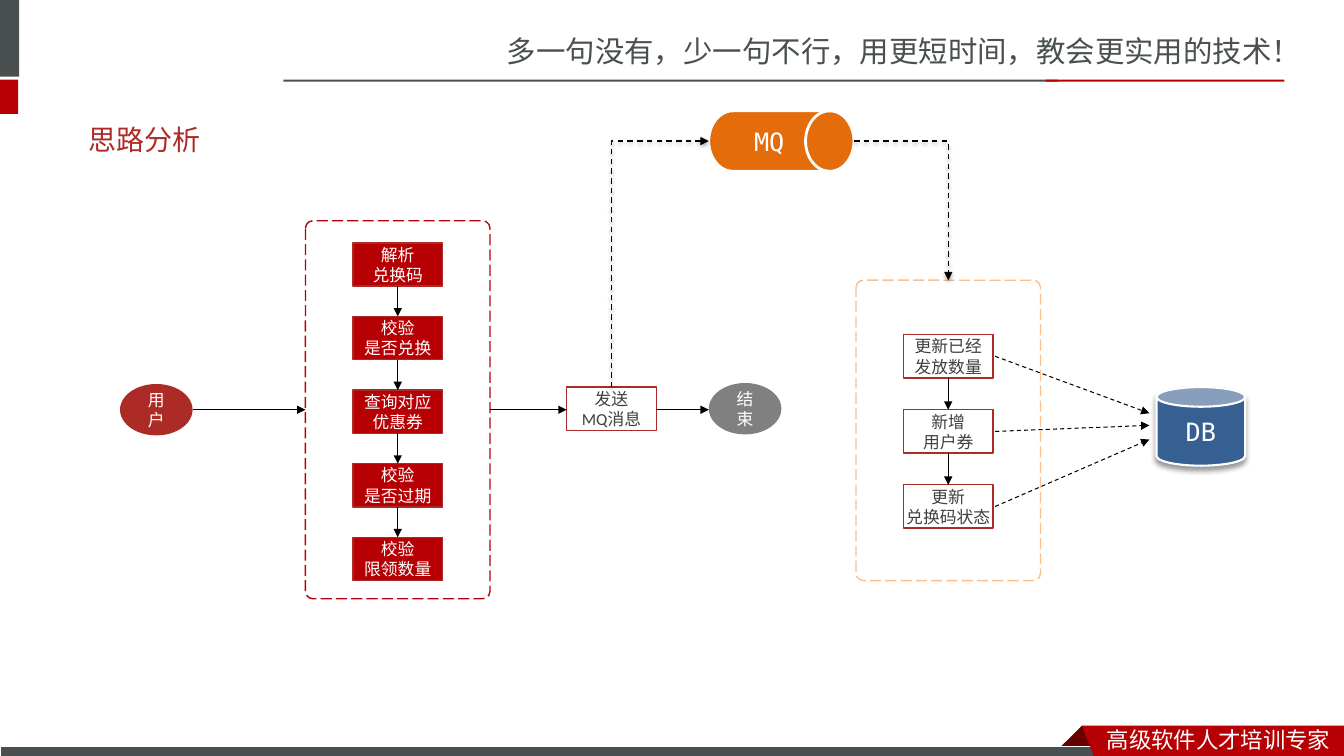
from dataclasses import dataclass

from lxml.etree import SubElement
from pptx import Presentation
from pptx.dml.color import RGBColor
from pptx.enum.dml import MSO_LINE
from pptx.enum.shapes import MSO_CONNECTOR, MSO_SHAPE
from pptx.enum.text import MSO_ANCHOR, PP_ALIGN
from pptx.oxml.ns import qn
from pptx.util import Inches, Pt

CELL = Inches(0.1)  # the slide is a grid of 133.3 columns by 75 rows
COLS, ROWS = 133.3, 75


@dataclass(frozen=True)
class Theme:
    red: str = "B60004"
    brick: str = "AD2B26"
    maroon: str = "680000"
    slate: str = "49504F"
    ink: str = "404040"
    gray: str = "808080"
    orange: str = "E46C0A"
    peach: str = "FAC090"
    blue: str = "376092"
    white: str = "FFFFFF"
    black: str = "000000"
    sans: str = "Calibri"
    mono: str = "DejaVu Sans Mono"
    head: str = "Lato"
    cjk: str = "Noto Sans CJK SC"
    tagline: int = 21
    title: int = 20
    node: int = 18
    footer: int = 16
    card: int = 12


T = Theme()


@dataclass(frozen=True)
class Box:
    x: float
    y: float
    w: float
    h: float

    @property
    def right(self):
        return self.x + self.w

    @property
    def bottom(self):
        return self.y + self.h

    @property
    def cx(self):
        return self.x + self.w / 2

    @property
    def cy(self):
        return self.y + self.h / 2

    def emu(self):
        return emu(self.x, self.y, self.w, self.h)


def emu(*cells):
    return [int(v * CELL) for v in cells]


def rgb(color):
    return RGBColor.from_string(color)


def set_text(tf, text, size, color, font, align=PP_ALIGN.CENTER):
    tf.word_wrap = True
    tf.text = text
    for p in tf.paragraphs:
        p.alignment = align
        p.font.size = Pt(size)
        p.font.color.rgb = rgb(color)
        p.font.name = font
        SubElement(p._p.pPr.find(qn("a:defRPr")), qn("a:ea"), typeface=T.cjk)


def add_label(s, box, text, size, color, font=T.cjk):
    tf = s.shapes.add_textbox(*box.emu()).text_frame
    set_text(tf, text, size, color, font, PP_ALIGN.LEFT)
    return tf


def paint(sp, fill=None, line=None, width=1):
    sp.shadow.inherit = False
    if fill:
        sp.fill.solid()
        sp.fill.fore_color.rgb = rgb(fill)
    else:
        sp.fill.background()
    if line:
        sp.line.color.rgb = rgb(line)
        sp.line.width = Pt(width)
    else:
        sp.line.fill.background()


def add_shape(s, kind, box, fill=None, line=None, width=1):
    sp = s.shapes.add_shape(kind, *box.emu())
    paint(sp, fill, line, width)
    return sp


def add_polygon(s, points, fill):
    first, *rest = [emu(*point) for point in points]
    builder = s.shapes.build_freeform(*first)
    builder.add_line_segments(rest, close=True)
    paint(builder.convert_to_shape(), fill)


def add_node(s, kind, box, text, fill, size, font, line=None, width=1):
    sp = add_shape(s, kind, box, fill, line, width)
    sp.text_frame.vertical_anchor = MSO_ANCHOR.MIDDLE
    set_text(sp.text_frame, text, size, T.white, font)
    return sp


def add_card(s, box, text, fill=None, font=T.sans):
    sp = add_shape(s, MSO_SHAPE.RECTANGLE, box, fill, T.brick)
    tf = sp.text_frame
    tf.margin_left = tf.margin_right = 0
    tf.vertical_anchor = MSO_ANCHOR.MIDDLE
    set_text(tf, text, T.card, T.white if fill else T.ink, font)


def add_shadow(effects, blur, dist, alpha):
    shadow = SubElement(effects, qn("a:outerShdw"), blurRad=str(Pt(blur)),
                        dist=str(Pt(dist)), dir="5400000", rotWithShape="0")
    color = SubElement(shadow, qn("a:srgbClr"), val=T.black)
    SubElement(color, qn("a:alpha"), val=str(alpha * 1000))


def add_arrow(s, start, end, dashed=False, elbow=False, head="tailEnd"):
    """An elbow runs across first, then down."""
    kind = MSO_CONNECTOR.ELBOW if elbow else MSO_CONNECTOR.STRAIGHT
    cn = s.shapes.add_connector(kind, *emu(*start, *end))
    cn.line.color.rgb = rgb(T.black)
    cn.line.width = Pt(1 if elbow else 0.75)
    if dashed:
        cn.line.dash_style = MSO_LINE.DASH
    sp_pr = cn._element.spPr
    SubElement(sp_pr.find(qn("a:ln")), qn("a:" + head), type="triangle")
    effects = SubElement(sp_pr, qn("a:effectLst"))
    if elbow:
        sp_pr.find(qn("a:prstGeom")).set("prst", "bentConnector2")
        add_shadow(effects, 3.1, 1.6, 38)


def header(s, box):
    add_label(s, Box(box.x + 49.3, box.y + 2.8, 84, 4.7),
              "多一句没有，少一句不行，用更短时间，教会更实用的技术！", T.tagline, T.slate)
    bars = [(0, 0, 1.9, 7.6, T.slate), (0, 7.9, 1.8, 3.4, T.red),
            (28.1, 7.9, 76.8, 0.2, T.slate), (103.7, 7.9, 23.7, 0.2, T.red)]
    for x, y, w, h, color in bars:
        add_shape(s, MSO_SHAPE.RECTANGLE, Box(box.x + x, box.y + y, w, h), color)
    tf = add_label(s, Box(box.x + 7.8, box.y + 11, 117, 5.7), "思路分析", T.title, T.brick, T.head)
    tf.vertical_anchor = MSO_ANCHOR.MIDDLE


def footer(s, box):
    fold = box.right - 26
    add_polygon(s, [(fold, box.y), (fold + 2.2, box.y + 2.2), (fold + 2.1, box.y + 2.3),
                    (fold - 2.1, box.y + 2.3), (fold - 2.2, box.y + 2.2)], T.maroon)
    add_shape(s, MSO_SHAPE.RECTANGLE, Box(box.x, box.y + 2.1, 109.9, 1.2), T.slate, T.white, 0.75)
    add_polygon(s, [(fold, box.y), (box.right, box.y), (box.right, box.bottom),
                    (fold + 1.3, box.bottom)], T.red)
    add_label(s, Box(fold + 1.5, box.y - 0.5, 24.5, 3.7), "高级软件人才培训专家",
              T.footer, T.white)


def step_panel(s, box, labels, top, pitch, border, fill=None):
    """Stack linked cards in a dashed frame and return the card boxes."""
    frame = add_shape(s, MSO_SHAPE.ROUNDED_RECTANGLE, box, None, border)
    frame.adjustments[0] = 0.04
    frame.line.dash_style = MSO_LINE.LONG_DASH
    cards = [Box(box.cx - 4.45, box.y + top + i * pitch, 8.9, 4.3) for i in range(len(labels))]
    for card, label in zip(cards, labels):
        add_card(s, card, label, fill, T.mono if card is cards[-1] else T.sans)
    for upper, lower in zip(cards, cards[1:]):
        add_arrow(s, (upper.cx, upper.bottom), (lower.cx, lower.y))
    return cards


def flow(s, box):
    def place(x, y, w, h):
        return Box(box.x + x, box.y + y, w, h)

    user, end = place(0, 27.1, 7.2, 5.1), place(58.4, 27, 7.2, 5.1)
    checks, updates = place(18.4, 10.9, 18.3, 37.5), place(73, 16.8, 18.3, 29.8)
    send, mq, db = place(44.3, 27.4, 8.9, 4.3), place(58.4, 0, 14.4, 6), place(102.8, 27.4, 8.8, 7.8)

    for oval, text, color in [(user, "用户", T.brick), (end, "结束", T.gray)]:
        add_node(s, MSO_SHAPE.OVAL, oval, text, color, T.card, T.sans)
    step_panel(s, checks, ["解析\n兑换码", "校验\n是否兑换", "查询对应\n优惠券", "校验\n是否过期",
                           "校验\n限领数量"], 2.2, 7.3, T.red, T.red)
    cards = step_panel(s, updates, ["更新已经\n发放数量", "新增\n用户券", "更新\n兑换码状态"],
                       5.4, 7.45, T.peach)
    add_card(s, send, "发送\nMQ消息")
    add_node(s, MSO_SHAPE.FLOWCHART_DIRECT_ACCESS_STORAGE, mq, "MQ", T.orange, T.node, T.mono,
             T.white, 2)
    can = add_node(s, MSO_SHAPE.CAN, db, "DB", T.blue, T.node, T.mono, T.white, 1.5)
    add_shadow(can._element.spPr.find(qn("a:effectLst")), 4, 3, 40)

    for left, right in [(user, checks), (checks, send), (send, end)]:
        add_arrow(s, (left.right, checks.cy), (right.x, checks.cy))
    add_arrow(s, (mq.x, mq.cy), (send.cx, send.y), True, True, "headEnd")
    add_arrow(s, (mq.right, mq.cy), (updates.cx, updates.y), True, True)
    for card, drop in zip(cards, (2.6, 3.8, 5.2)):
        add_arrow(s, (card.right + 0.2, card.cy), (db.x - 0.7, db.y + drop), True)


def main():
    prs = Presentation()
    prs.slide_width, prs.slide_height = emu(COLS, ROWS)
    s = prs.slides.add_slide(prs.slide_layouts[6])
    header(s, Box(0, 0, COLS, 17))
    flow(s, Box(11.9, 11, 112, 49))
    footer(s, Box(0, 72, COLS, 3.3))
    prs.save("out.pptx")


if __name__ == "__main__":
    main()
